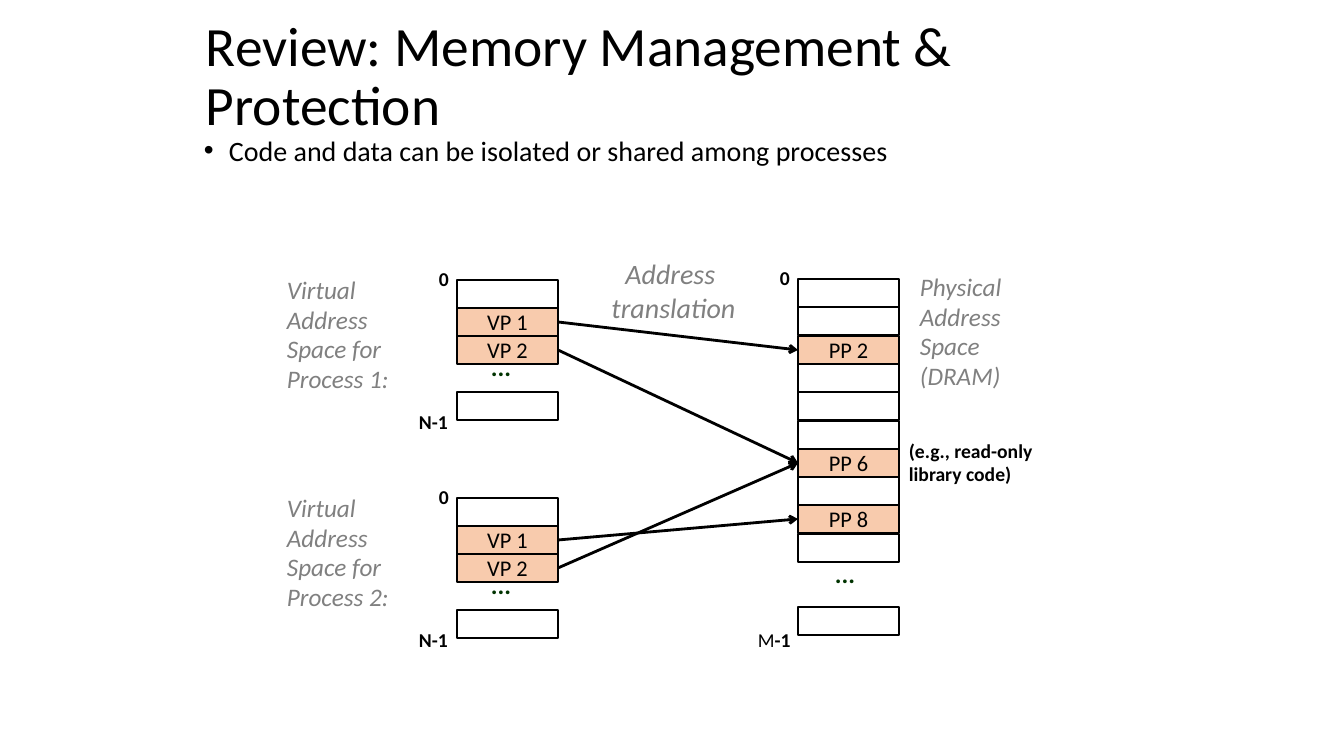
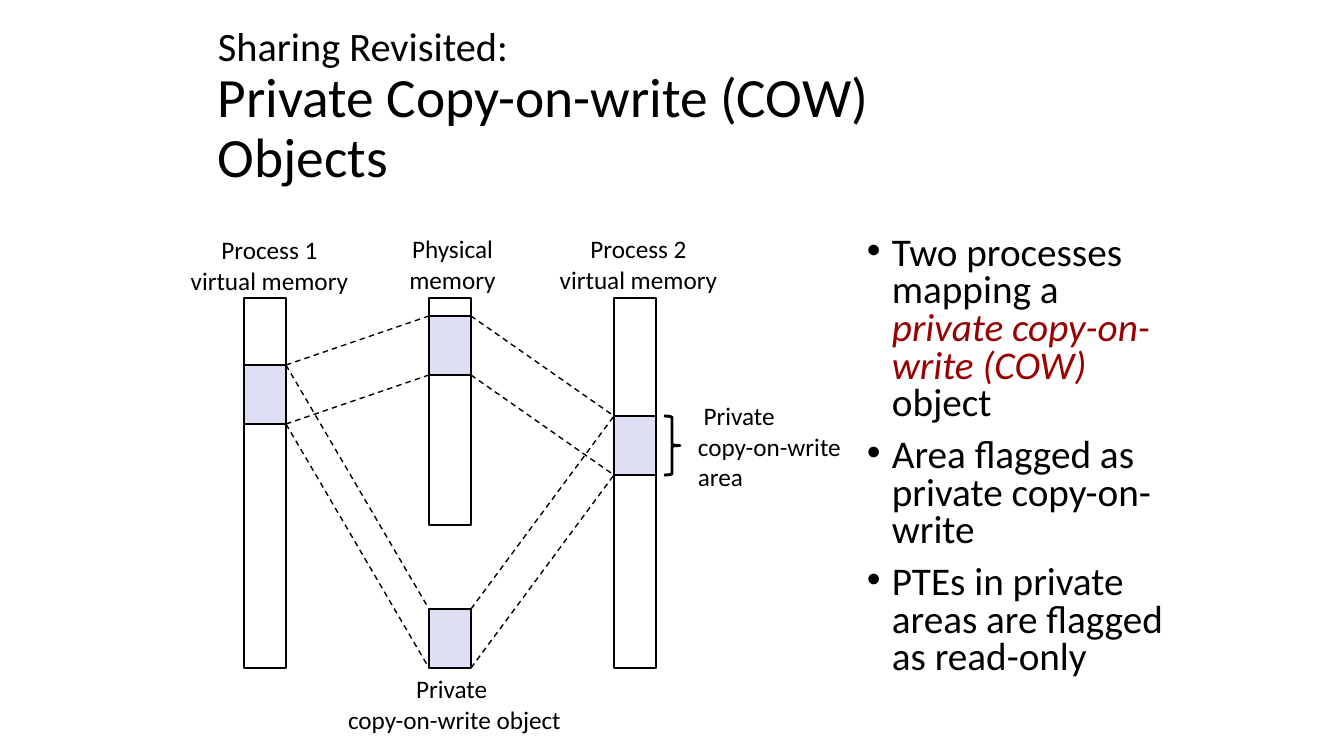
from dataclasses import dataclass
from itertools import product

from lxml.etree import SubElement
from pptx import Presentation
from pptx.dml.color import RGBColor
from pptx.enum.dml import MSO_LINE
from pptx.enum.shapes import MSO_CONNECTOR, MSO_SHAPE
from pptx.enum.text import MSO_ANCHOR, MSO_AUTO_SIZE, PP_ALIGN
from pptx.oxml.ns import qn
from pptx.util import Pt


@dataclass(frozen=True)
class Theme:
    """Colours, font and type sizes shared by the slides."""

    font: str = "Calibri"
    ink: str = "000000"
    muted: str = "808080"
    accent: str = "990000"
    dots: str = "003300"
    page_fill: str = "F8CBAD"
    window_fill: str = "DEDFF5"
    title: float = 39.6
    kicker: float = 28.8
    points: int = 28
    heading: int = 20
    caption: int = 18
    cell: int = 16
    label: int = 14


THEME = Theme()
EMU_PER_PX = 914400 / 100.8
BULLET_INDENT = 25
CELL_WIDTH, CELL_HEIGHT = 101, 28


def px(length):
    """Turn px into EMU."""
    return round(length * EMU_PER_PX)


def write(frame, paragraphs, size=THEME.caption, color=THEME.ink, bold=False, italic=False,
          align=PP_ALIGN.LEFT, spacing=None, before=0, bullet=False):
    """Fill a text frame with paragraphs given as strings or lists of (text, format) spans."""
    for index, content in enumerate(paragraphs):
        para = frame.paragraphs[0] if index == 0 else frame.add_paragraph()
        para.alignment = align
        para.space_before = Pt(before)
        if spacing:
            para.line_spacing = spacing
        if bullet:
            properties = para._p.get_or_add_pPr()
            properties.set("marL", str(px(BULLET_INDENT)))
            properties.set("indent", str(-px(BULLET_INDENT)))
            SubElement(properties, qn("a:buFont")).set("typeface", "Arial")
            SubElement(properties, qn("a:buChar")).set("char", "•")
        for text, override in [(content, {})] if isinstance(content, str) else content:
            if text == "\n":
                para.add_line_break()
                continue
            span = para.add_run()
            span.text = text
            span.font.name = THEME.font
            span.font.size = Pt(override.get("size", size))
            span.font.bold = override.get("bold", bold)
            span.font.italic = override.get("italic", italic)
            span.font.color.rgb = RGBColor.from_string(override.get("color", color))


def add_text(page, box, paragraphs, wrap=True, grow=True, anchor=MSO_ANCHOR.TOP, **style):
    """Add a text box."""
    frame = page.shapes.add_textbox(*map(px, box)).text_frame
    frame.word_wrap = wrap
    frame.auto_size = MSO_AUTO_SIZE.SHAPE_TO_FIT_TEXT if grow else MSO_AUTO_SIZE.NONE
    frame.vertical_anchor = anchor
    write(frame, paragraphs, **style)


def add_title(page, box, spans):
    """Add the slide title."""
    add_text(page, box, [spans], grow=False, anchor=MSO_ANCHOR.MIDDLE,
             size=THEME.title, spacing=0.9)


def add_box(page, box, fill=None, text=None, kind=MSO_SHAPE.RECTANGLE, weight=1):
    """Add an outlined shape with an optional fill and centred text."""
    shape = page.shapes.add_shape(kind, *map(px, box))
    shape.shadow.inherit = False
    shape.line.color.rgb = RGBColor.from_string(THEME.ink)
    shape.line.width = Pt(weight)
    if fill:
        shape.fill.solid()
        shape.fill.fore_color.rgb = RGBColor.from_string(fill)
    else:
        shape.fill.background()
    if text:
        shape.text_frame.vertical_anchor = MSO_ANCHOR.MIDDLE
        write(shape.text_frame, [text], size=THEME.cell, align=PP_ALIGN.CENTER)
    return shape


def add_line(page, start=(0, 0), end=(0, 0), weight=1):
    """Add a straight line without shadow."""
    line = page.shapes.add_connector(MSO_CONNECTOR.STRAIGHT, *map(px, (*start, *end)))
    line.line.color.rgb = RGBColor.from_string(THEME.ink)
    line.line.width = Pt(weight)
    SubElement(line.element.spPr, qn("a:effectLst"))
    return line


def add_arrow(page, source, target):
    """Join the right side of one cell to the left side of another."""
    line = add_line(page, weight=2)
    line.begin_connect(source, 3)
    line.end_connect(target, 1)
    SubElement(line.element.spPr.find(qn("a:ln")), qn("a:tailEnd")).set("type", "arrow")


def add_cells(page, left, top, names, last_top, pitch):
    """Stack the cells of an address space and return the named ones."""
    named = {}
    for index, name in enumerate(names):
        box = (left, top + round(index * pitch), CELL_WIDTH, CELL_HEIGHT)
        cell = add_box(page, box, THEME.page_fill if name else None, name)
        if name:
            named[name] = cell
    add_box(page, (left, top + last_top, CELL_WIDTH, CELL_HEIGHT))
    return named


def add_marks(page, left, top, last, last_box, dots_at):
    """Mark the first and last address and the gap of an address space."""
    label = {"wrap": False, "size": THEME.label, "bold": True, "spacing": 0.98}
    add_text(page, (left - 28, top - 17, 31, 33), ["0"], **label)
    shift, drop, width = last_box
    add_text(page, (left + shift, top + drop, width, 33), [last], **label)
    across, down = dots_at
    add_text(page, (left + across, top + down, 40, 36), ["..."], wrap=False,
             color=THEME.dots, bold=True, spacing=0.88, before=9)


def add_process(page, left, top, number):
    """Draw the virtual address space of one process and return its pages."""
    add_text(page, (left - 180, top - 9, 151, 129),
             [f"Virtual Address Space for Process {number}:"],
             color=THEME.muted, italic=True, spacing=0.98)
    add_marks(page, left, top, "N-1", (-48, 126, 49), (24, 70))
    return add_cells(page, left, top, [None, "VP 1", "VP 2"], 112, CELL_HEIGHT)


def add_physical(page, left, top):
    """Draw the physical address space and return its used pages."""
    add_text(page, (left + 112, top - 11, 118, 130), ["Physical", "Address", "Space (DRAM)"],
             color=THEME.muted, italic=True, spacing=0.98)
    add_text(page, (left + 101, top + 156, 160, 56), ["(e.g., read-only", "library code)"],
             size=THEME.label, bold=True, spacing=0.98)
    add_marks(page, left, top, [("M", {"bold": False}), ("-1", {})], (-50, 345, 53), (27, 278))
    names = [f"PP {index}" if index in (2, 6, 8) else None for index in range(10)]
    return add_cells(page, left, top, names, 328, 28.3)


def build_protection(page):
    """Build the slide on memory management and protection."""
    add_title(page, (196, 46, 972, 64), [("Review: Memory Management & Protection", {})])
    add_text(page, (194, 134, 966, 93),
             ["Code and data can be isolated or shared among processes"],
             grow=False, size=THEME.heading, spacing=0.83, before=12, bullet=True)
    first = add_process(page, 457, 280, 1)
    second = add_process(page, 457, 498, 2)
    physical = add_physical(page, 798, 279)
    for space, source, target in ((first, "VP 1", "PP 2"), (first, "VP 2", "PP 6"),
                                  (second, "VP 2", "PP 6"), (second, "VP 1", "PP 8")):
        add_arrow(page, space[source], physical[target])
    add_text(page, (599, 252, 149, 78), ["Address ", "translation"], wrap=False,
             size=THEME.heading, color=THEME.muted, italic=True, align=PP_ALIGN.CENTER)


def add_mapping(page, left, top):
    """Draw two processes mapping one private object."""
    width, window, height, pitch = 42, 59, 370, 185
    for index, depth in enumerate((height, 227, height)):
        add_box(page, (left + index * pitch, top, width, depth))
    process_1 = (left, top + 67)
    physical = (left + pitch, top + 18)
    shared = (left + pitch, top + height - window)
    process_2 = (left + 2 * pitch, top + 118)
    for corner in (process_1, physical, shared, process_2):
        add_box(page, (*corner, width, window), THEME.window_fill)
    pairs = [(process_1, middle) for middle in (physical, shared)]
    pairs += [(middle, process_2) for middle in (physical, shared)]
    for (source, target), drop in product(pairs, (0, window)):
        line = add_line(page, (source[0] + width, source[1] + drop),
                        (target[0], target[1] + drop))
        line.line.dash_style = MSO_LINE.DASH
    add_box(page, (process_2[0] + width + 8, process_2[1], 16, window),
            kind=MSO_SHAPE.RIGHT_BRACE, weight=2)
    centred, flush = PP_ALIGN.CENTER, PP_ALIGN.LEFT
    for across, down, box_width, box_height, align, lines in (
            (-66, -69, 183, 72, centred, ["Process 1", "virtual memory"]),
            (154, -70, 109, 72, centred, ["Physical", "memory"]),
            (303, -70, 183, 72, centred, ["Process 2", "virtual memory"]),
            (91, 370, 239, 72, centred, ["Private ", "copy-on-write object"]),
            (444, 97, 167, 102, flush, [" Private", "copy-on-write", "area"])):
        add_text(page, (left + across, top + down, box_width, box_height), lines,
                 wrap=False, anchor=MSO_ANCHOR.MIDDLE, align=align)


def build_copy_on_write(page):
    """Build the slide on private copy-on-write objects."""
    add_title(page, (208, 48, 837, 120),
              [("Sharing Revisited: ", {"size": THEME.kicker}), ("\n", {}),
               ("Private Copy-on-write (COW) Objects", {})])
    emphasis = {"color": THEME.accent, "italic": True}
    add_text(page, (857, 231, 320, 462),
             [[("Two processes mapping a ", {}), ("private copy-on-write (COW) ", emphasis),
               ("object", {})],
              "Area flagged as private copy-on-write",
              "PTEs in private areas are flagged as read-only"],
             grow=False, size=THEME.points, spacing=0.8, before=10, bullet=True)
    add_mapping(page, 244, 298)


def main():
    """Build and save the deck."""
    deck = Presentation()
    deck.slide_width, deck.slide_height = px(1344), px(756)
    for build in (build_protection, build_copy_on_write):
        build(deck.slides.add_slide(deck.slide_layouts[6]))
    deck.save("out.pptx")


if __name__ == "__main__":
    main()
